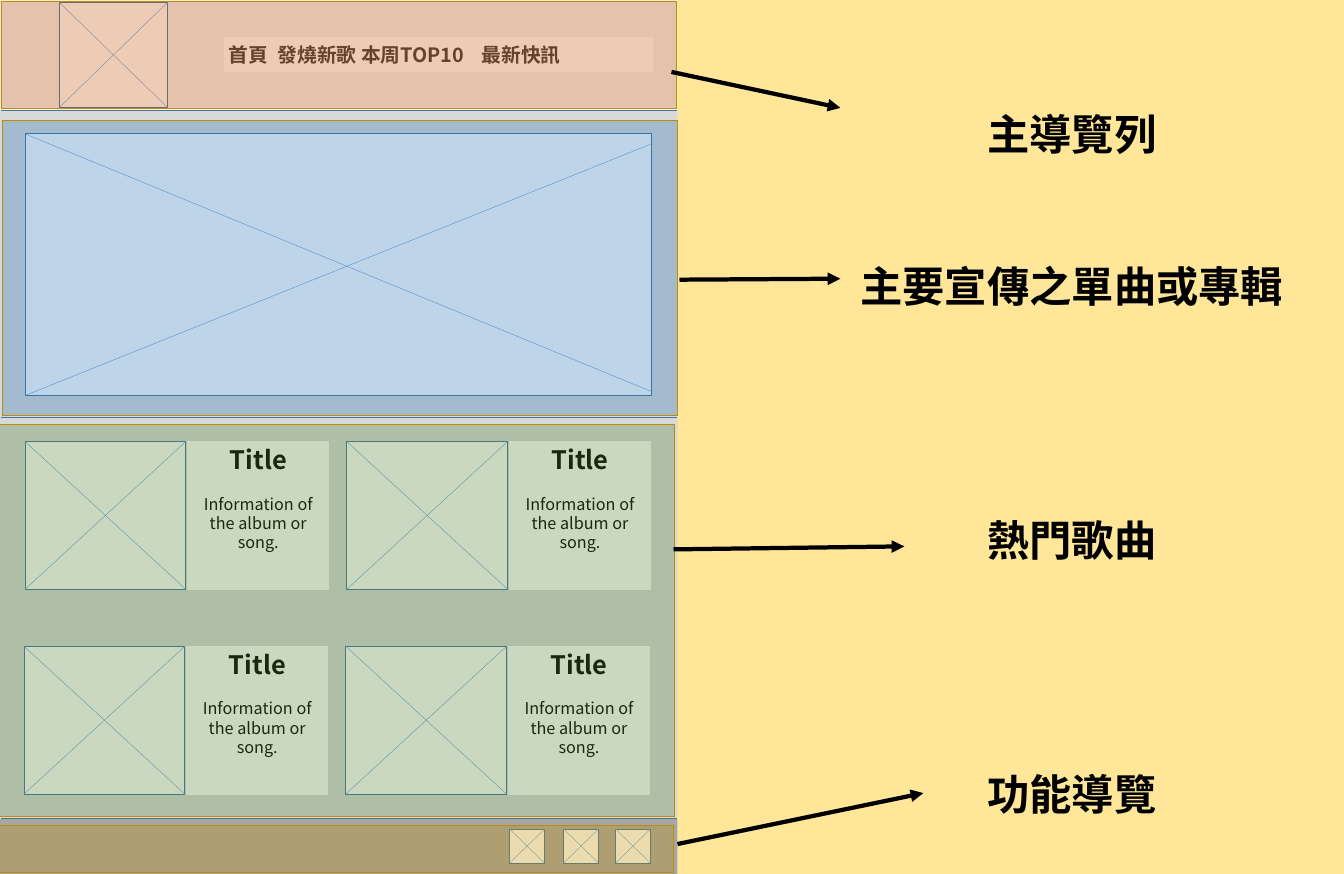
"""Builds an annotated wireframe of a music site home page."""
from lxml import etree
from pptx import Presentation
from pptx import util as u
from pptx.dml.color import RGBColor
from pptx.enum import shapes, text
from pptx.oxml.ns import qn

COLORS = {
    "background": "FFE699", "header": "F2F2F2", "panel": "D9D9D9", "footer": "A6A6A6",
    "white": "FFFFFF", "black": "000000", "menu": "3B3838",
    "frame": "43739E", "cross": "5B9BD5", "gold": "BD8E00",
    "orange": "C55A11", "blue": "2E75B6", "green": "548235", "brown": "BF9000",
}
FONT = "Noto Sans CJK SC"
EMU_PER_PIXEL = 18000


def px(pixels):
    return u.Emu(pixels * EMU_PER_PIXEL)


def color(name):
    return RGBColor.from_string(COLORS[name])


class Wireframe:
    def __init__(self, slide):
        self.slide = slide
        slide.background.fill.solid()
        slide.background.fill.fore_color.rgb = color("background")

    def box(self, left, top, width, height, fill="white", line=None, opacity=None):
        shape = self.slide.shapes.add_shape(
            shapes.MSO_SHAPE.RECTANGLE, px(left), px(top), px(width), px(height))
        shape.shadow.inherit = False
        shape.fill.solid()
        shape.fill.fore_color.rgb = color(fill)
        if opacity:
            tint = shape._element.spPr.find(".//" + qn("a:srgbClr"))
            etree.SubElement(tint, qn("a:alpha")).set("val", str(opacity * 1000))
        if line:
            shape.line.color.rgb = color(line)
            shape.line.width = u.Pt(1)
        else:
            shape.line.fill.background()
        return shape

    def line(self, start, end, stroke="cross", width=0.5, arrow=False):
        connector = self.slide.shapes.add_connector(
            shapes.MSO_CONNECTOR.STRAIGHT, *map(px, start + end))
        connector.line.color.rgb = color(stroke)
        connector.line.width = u.Pt(width)
        properties = connector._element.spPr
        if arrow:
            outline = properties.find(qn("a:ln"))
            etree.SubElement(outline, qn("a:tailEnd")).set("type", "triangle")
        etree.SubElement(properties, qn("a:effectLst"))

    def image_slot(self, left, top, width, height, drop=0, lift=0):
        right, bottom = left + width, top + height
        self.box(left, top, width, height, line="frame")
        self.line((left, top), (right, bottom - lift))
        self.line((left, bottom), (right, top + drop))

    def set_text(self, paragraph, words, size, bold=True, ink="black",
                 align=text.PP_ALIGN.CENTER, pitch=None, before=None):
        paragraph.text = words
        paragraph.alignment = align
        if pitch:
            paragraph.line_spacing = u.Pt(pitch)
        if before:
            paragraph.space_before = u.Pt(before)
        font = paragraph.font
        font.name, font.size, font.bold = FONT, u.Pt(size), bold
        font.color.rgb = color(ink)
        defaults = paragraph._p.find(".//" + qn("a:defRPr"))
        etree.SubElement(defaults, qn("a:ea")).set("typeface", FONT)

    def menu(self, left, top, width, height, words, stops):
        frame = self.box(left, top, width, height).text_frame
        frame.vertical_anchor = text.MSO_ANCHOR.MIDDLE
        paragraph = frame.paragraphs[0]
        self.set_text(paragraph, words, 28, ink="menu", align=text.PP_ALIGN.LEFT)
        tabs = etree.Element(qn("a:tabLst"))
        for stop in stops:
            etree.SubElement(tabs, qn("a:tab"), pos=str(px(stop)), algn="l")
        paragraph._p.find(qn("a:pPr")).insert(0, tabs)

    def song_card(self, left, top):
        self.image_slot(left, top, 161, 148)
        frame = self.box(left + 163, top, 141, 148, line="white").text_frame
        frame.word_wrap = True
        frame.vertical_anchor = text.MSO_ANCHOR.TOP
        self.set_text(frame.paragraphs[0], "Title", 36, pitch=44)
        self.set_text(frame.add_paragraph(), "Information of the album or song.", 23,
                      bold=False, pitch=27.4, before=27)

    def labels(self, left, top, width, height, entries):
        frame = self.slide.shapes.add_textbox(
            px(left), px(top), px(width), px(height)).text_frame
        frame.word_wrap = True
        for index, (words, before) in enumerate(entries):
            paragraph = frame.add_paragraph() if index else frame.paragraphs[0]
            self.set_text(paragraph, words, 60, pitch=72, before=before)


presentation = Presentation()
presentation.slide_width, presentation.slide_height = px(1345), px(875)
wireframe = Wireframe(presentation.slides.add_slide(presentation.slide_layouts[6]))

for top, height, fill in ((0, 110, "header"), (820, 56, "footer"),
                          (418, 401, "panel"), (111, 307, "panel")):
    wireframe.box(0, top, 678, height, fill)
for divider in (110, 819, 418):
    wireframe.line((1, divider), (678, divider), "frame", 1)

wireframe.menu(224, 37, 430, 35, "首頁\t發燒新歌 本周TOP10\t最新快訊", (49, 253))
wireframe.image_slot(59, 2, 109, 106)
wireframe.image_slot(25, 134, 627, 262, drop=10, lift=4)
for left, top in ((25, 442), (24, 647)):
    for offset in (0, 322):
        wireframe.song_card(left + offset, top)
for left in (510, 564, 616):
    wireframe.image_slot(left, 830, 35, 34)

for left, top, height, fill in ((1, 1, 108, "orange"), (2, 121, 295, "blue"),
                                (-1, 425, 392, "green"), (-2, 826, 47, "brown")):
    wireframe.box(left, top, 676, height, fill, "gold", 31)

wireframe.labels(800, 106, 545, 720, (
    ("主導覽列", None), ("主要宣傳之單曲或專輯", 144), ("熱門歌曲", 288), ("功能導覽", 288)))
for start, end in (((672, 72), (841, 108)), ((680, 280), (841, 279)),
                   ((674, 550), (905, 547)), ((678, 845), (924, 794))):
    wireframe.line(start, end, "black", 6, arrow=True)

presentation.save("out.pptx")
